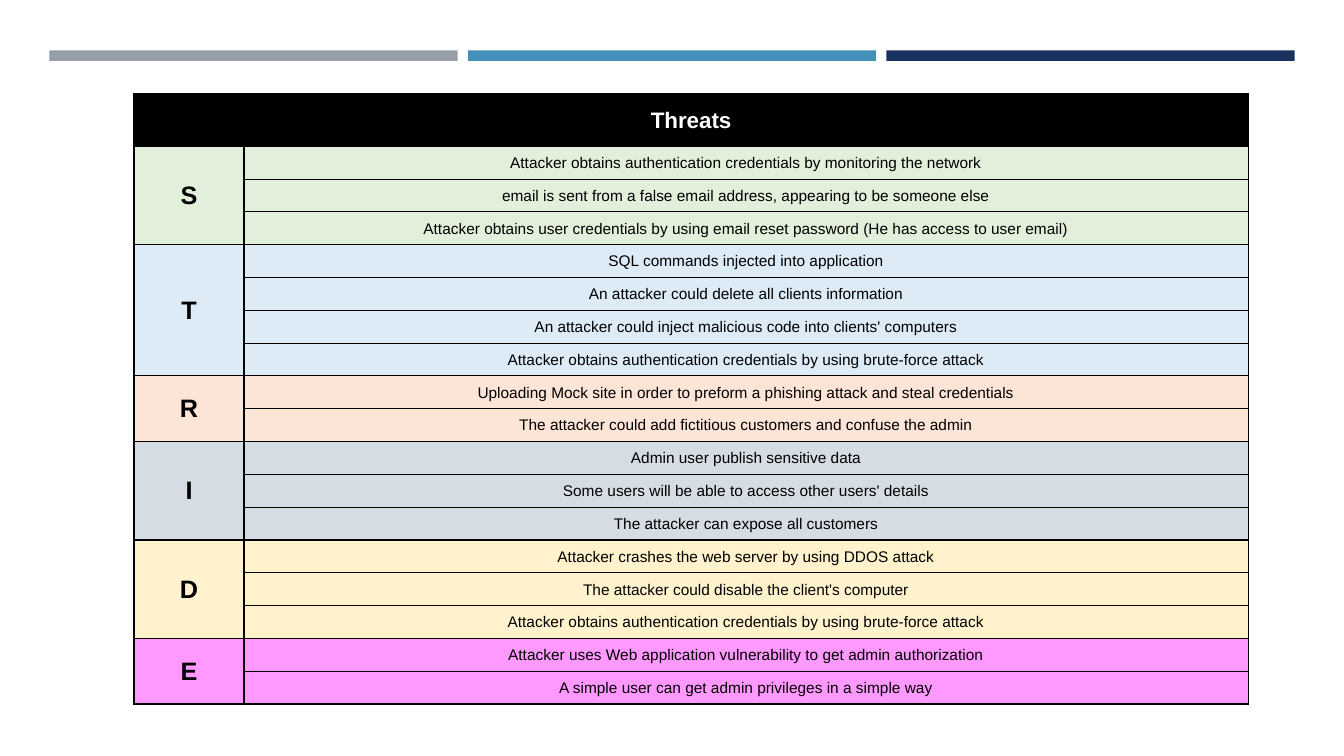
from dataclasses import dataclass

from lxml import etree
from pptx import Presentation
from pptx import util as u
from pptx.dml import color
from pptx.enum import shapes, text
from pptx.oxml import ns

SLIDE_WIDTH, SLIDE_HEIGHT = 13.33, 7.5
BAR_LEFT, BAR_TOP, BAR_WIDTH, BAR_HEIGHT, BAR_PITCH = 0.49, 0.5, 4.05, 0.105, 4.15
TABLE_LEFT, TABLE_TOP, TABLE_HEIGHT = 1.33, 0.93, 6.06
LETTER_WIDTH, THREAT_WIDTH, HEADER_HEIGHT = 1.09, 9.96, 0.52
BLACK, WHITE = "000000", "FFFFFF"
BAR_COLORS = ("969FA7", "4590B8", "1A3260")


@dataclass(frozen=True)
class Category:
    letter: str
    fill: str
    threats: tuple[str, ...]


@dataclass(frozen=True)
class Borders:
    left: float = 1
    right: float = 1
    top: float = 1
    bottom: float = 1


CATEGORIES = (
    Category("S", "E2EFDA", (
        "Attacker obtains authentication credentials by monitoring the network",
        "email is sent from a false email address, appearing to be someone else",
        "Attacker obtains user credentials by using email reset password (He has access to user email)",
    )),
    Category("T", "DDEBF7", (
        "SQL commands injected into application",
        "An attacker could delete all clients information",
        "An attacker could inject malicious code into clients' computers",
        "Attacker obtains authentication credentials by using brute-force attack",
    )),
    Category("R", "FCE4D6", (
        "Uploading Mock site in order to preform a phishing attack and steal credentials",
        "The attacker could add fictitious customers and confuse the admin",
    )),
    Category("I", "D6DCE4", (
        "Admin user publish sensitive data",
        "Some users will be able to access other users' details",
        "The attacker can expose all customers",
    )),
    Category("D", "FFF2CC", (
        "Attacker crashes the web server by using DDOS attack",
        "The attacker could disable the client's computer",
        "Attacker obtains authentication credentials by using brute-force attack",
    )),
    Category("E", "FF99FF", (
        "Attacker uses Web application vulnerability to get admin authorization",
        "A simple user can get admin privileges in a simple way",
    )),
)


def set_fill(target, hex_color: str) -> None:
    target.fill.solid()
    target.fill.fore_color.rgb = color.RGBColor.from_string(hex_color)


def set_borders(cell, borders: Borders) -> None:
    properties = cell._tc.get_or_add_tcPr()
    sides = (("lnL", borders.left), ("lnR", borders.right),
             ("lnT", borders.top), ("lnB", borders.bottom))
    for position, (tag, width) in enumerate(sides):
        line = etree.Element(ns.qn(f"a:{tag}"), w=str(u.Pt(width)))
        solid = etree.SubElement(line, ns.qn("a:solidFill"))
        etree.SubElement(solid, ns.qn("a:srgbClr"), val=BLACK)
        properties.insert(position, line)


def style_cell(cell, fill: str, borders: Borders = Borders()) -> None:
    set_fill(cell, fill)
    set_borders(cell, borders)
    cell.margin_left = cell.margin_right = cell.margin_top = u.Inches(0.01)
    cell.margin_bottom = 0
    cell.vertical_anchor = text.MSO_ANCHOR.MIDDLE


def write_cell(cell, words: str, size: float, bold: bool, hex_color: str = BLACK) -> None:
    paragraph = cell.text_frame.paragraphs[0]
    paragraph.alignment = text.PP_ALIGN.CENTER
    run = paragraph.add_run()
    run.text = words
    run.font.name = "Arial"
    run.font.size = u.Pt(size)
    run.font.bold = bold
    run.font.color.rgb = color.RGBColor.from_string(hex_color)


def add_bars(slide) -> None:
    for index, hex_color in enumerate(BAR_COLORS):
        bar = slide.shapes.add_shape(
            shapes.MSO_SHAPE.RECTANGLE,
            u.Inches(BAR_LEFT + index * BAR_PITCH), u.Inches(BAR_TOP),
            u.Inches(BAR_WIDTH), u.Inches(BAR_HEIGHT))
        bar.shadow.inherit = False
        bar.line.fill.background()
        set_fill(bar, hex_color)


def add_category(table, category: Category, first_row: int) -> None:
    last = len(category.threats) - 1
    for offset, threat in enumerate(category.threats):
        letter_cell = table.cell(first_row + offset, 0)
        threat_cell = table.cell(first_row + offset, 1)
        style_cell(letter_cell, category.fill)
        style_cell(threat_cell, category.fill, Borders(
            top=1 if offset == 0 else 0.5,
            bottom=1 if offset == last else 0.5))
        write_cell(threat_cell, threat, 11, False)
    origin = table.cell(first_row, 0)
    origin.merge(table.cell(first_row + last, 0))
    write_cell(origin, category.letter, 18, True)


def add_threat_table(slide) -> None:
    threat_count = sum(len(category.threats) for category in CATEGORIES)
    table = slide.shapes.add_table(
        threat_count + 1, 2, u.Inches(TABLE_LEFT), u.Inches(TABLE_TOP),
        u.Inches(LETTER_WIDTH + THREAT_WIDTH), u.Inches(TABLE_HEIGHT)).table
    for column, width in zip(table.columns, (LETTER_WIDTH, THREAT_WIDTH)):
        column.width = u.Inches(width)
    threat_height = (TABLE_HEIGHT - HEADER_HEIGHT) / threat_count
    for index, row in enumerate(table.rows):
        row.height = u.Inches(threat_height if index else HEADER_HEIGHT)

    header, header_end = table.cell(0, 0), table.cell(0, 1)
    for cell in (header, header_end):
        style_cell(cell, BLACK)
    header.merge(header_end)
    write_cell(header, "Threats", 16, True, WHITE)

    first_row = 1
    for category in CATEGORIES:
        add_category(table, category, first_row)
        first_row += len(category.threats)


def main() -> None:
    presentation = Presentation()
    presentation.slide_width = u.Inches(SLIDE_WIDTH)
    presentation.slide_height = u.Inches(SLIDE_HEIGHT)
    slide = presentation.slides.add_slide(presentation.slide_layouts[6])
    set_fill(slide.background, WHITE)
    add_bars(slide)
    add_threat_table(slide)
    presentation.save("out.pptx")


if __name__ == "__main__":
    main()
